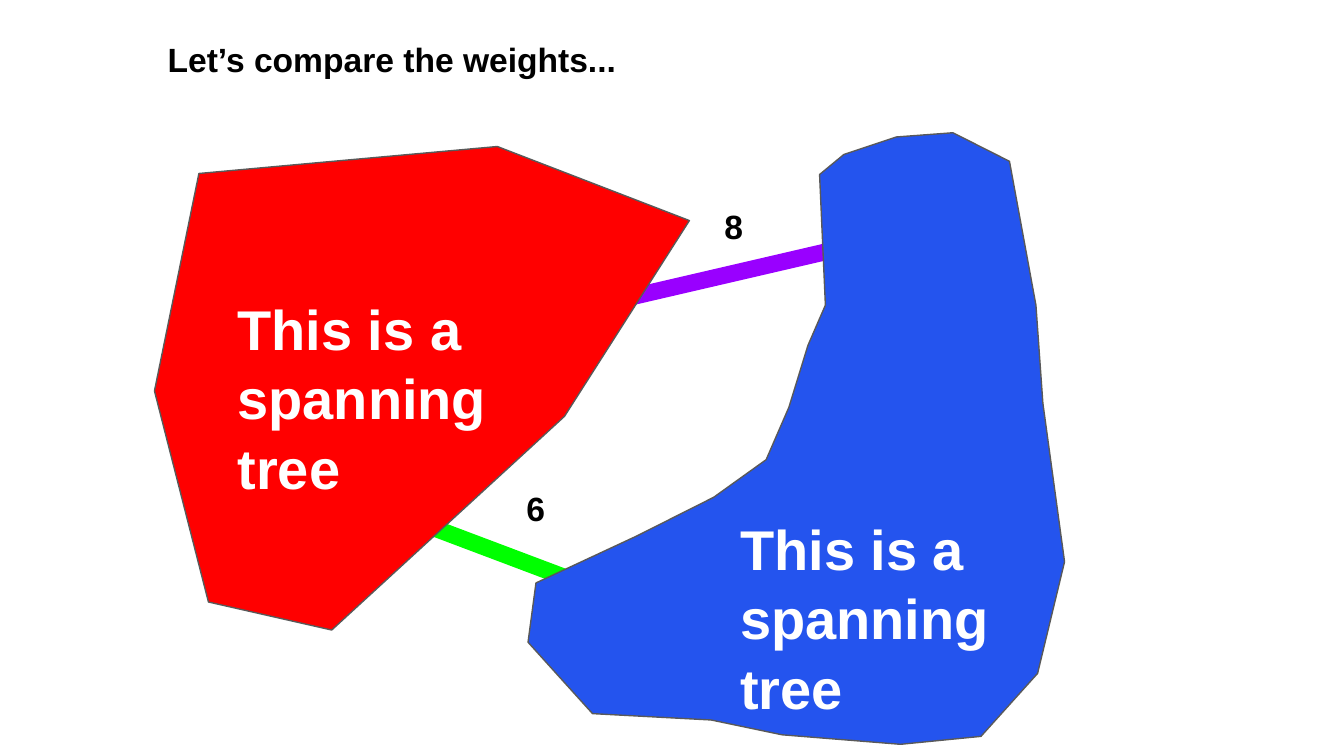
"""Build a slide comparing the weights of two edges between spanning trees."""
from lxml import etree
from pptx import Presentation
from pptx import util as u
from pptx.dml import color
from pptx.enum import shapes, text
from pptx.oxml import ns


def rgb(value):
    return color.RGBColor.from_string(value)


class Deck:
    font = "Arial"
    outline = "595959"

    def __init__(self, width, height):
        self.prs = Presentation()
        self.prs.slide_width, self.prs.slide_height = u.Cm(width), u.Cm(height)
        self.s = self.prs.slides.add_slide(self.prs.slide_layouts[6])

    def edge(self, start, end, stroke):
        ends = [u.Cm(v) for v in (*start, *end)]
        sp = self.s.shapes.add_connector(shapes.MSO_CONNECTOR.STRAIGHT, *ends)
        sp.line.color.rgb = rgb(stroke)
        sp.line.width = u.Pt(9)
        etree.SubElement(sp._element.spPr, ns.qn("a:effectLst"))

    def region(self, points, fill):
        pts = [(u.Cm(x), u.Cm(y)) for x, y in points]
        builder = self.s.shapes.build_freeform(*pts[0])
        builder.add_line_segments(pts[1:], close=True)
        sp = builder.convert_to_shape()
        sp.shadow.inherit = False
        sp.fill.solid()
        sp.fill.fore_color.rgb = rgb(fill)
        sp.line.color.rgb = rgb(self.outline)
        sp.line.width = u.Pt(0.75)

    def label(self, words, box, size=18, ink="000000"):
        sp = self.s.shapes.add_textbox(*[u.Cm(v) for v in box])
        tf = sp.text_frame
        tf.word_wrap = True
        tf.vertical_anchor = text.MSO_ANCHOR.TOP
        tf.margin_left = tf.margin_right = u.Cm(0.25)
        tf.margin_top = tf.margin_bottom = u.Cm(0.25)
        p = tf.paragraphs[0]
        p.text = words
        p.line_spacing = 1.04
        p.font.name, p.font.size, p.font.bold = self.font, u.Pt(size), True
        p.font.color.rgb = rgb(ink)


RED_TREE = [
    (3.76, 3.28), (2.92, 7.39), (3.94, 11.38), (6.27, 11.91),
    (10.67, 7.87), (13.03, 4.17), (9.4, 2.77), (5.74, 3.1),
]
BLUE_TREE = [
    (15.49, 3.3), (15.6, 5.77), (15.27, 6.53), (14.91, 7.7), (14.48, 8.69),
    (13.49, 9.4), (12.04, 10.13), (10.13, 11.02), (9.98, 12.14),
    (11.2, 13.49), (13.44, 13.61), (14.78, 13.89), (17.02, 14.07),
    (18.54, 13.92), (19.61, 12.73), (20.12, 10.62), (19.71, 7.62),
    (19.58, 5.77), (19.08, 3.05), (18.01, 2.51), (16.94, 2.59), (15.95, 2.92),
]


def main():
    deck = Deck(25.4, 14.29)
    deck.edge((16.08, 4.65), (11.73, 5.66), "9900FF")
    deck.edge((11.25, 11.13), (7.67, 9.78), "00FF00")
    deck.region(RED_TREE, "FF0000")
    deck.region(BLUE_TREE, "2454EE")
    for box in ((4.24, 5.26, 5.74, 1.83), (13.74, 9.42, 5.99, 3.33)):
        deck.label("This is a spanning tree", box, 30, "FFFFFF")
    deck.label("Let’s compare the weights...", (2.92, 0.46, 19.91, 2.06))
    for weight, x, y in (("8", 13.44, 3.61), ("6", 9.7, 8.94)):
        deck.label(weight, (x, y, 0.94, 1.35))
    deck.prs.save("out.pptx")


if __name__ == "__main__":
    main()
